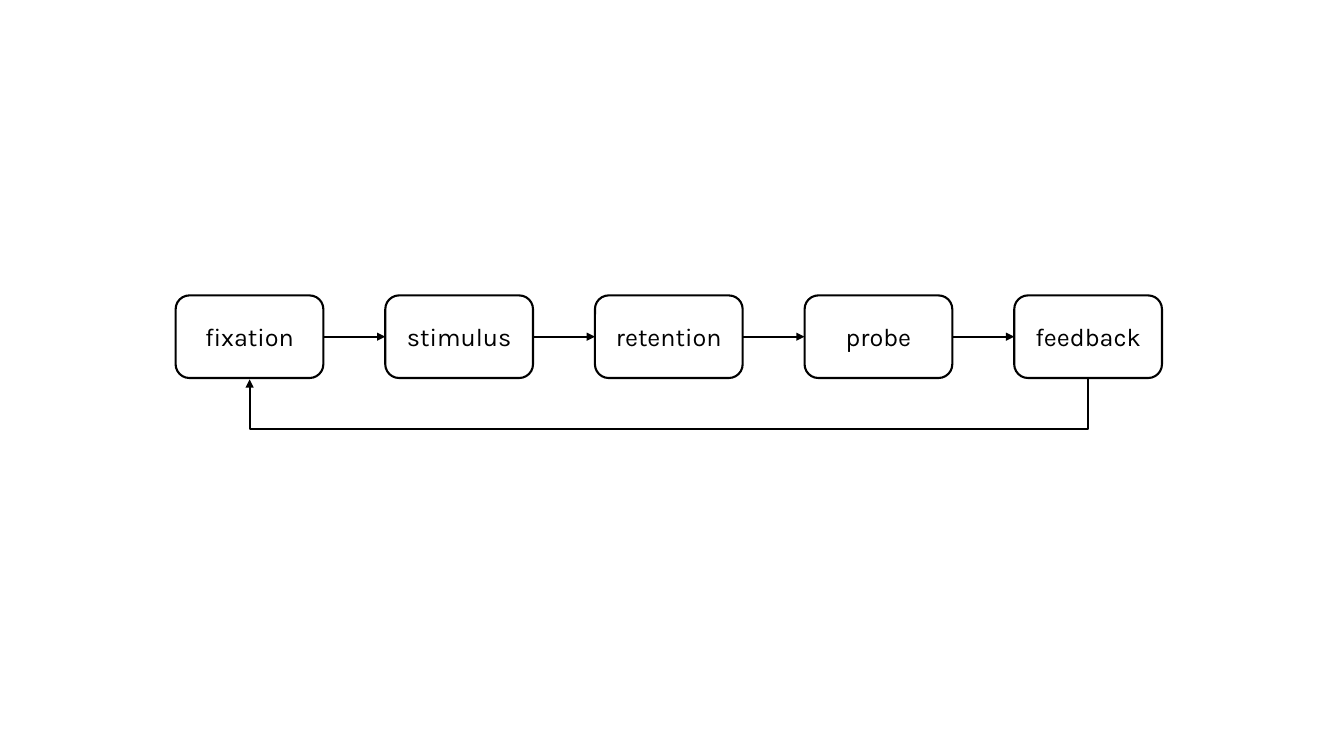
"""Build a slide showing the five phases of a trial and the loop back to its start."""
from collections import namedtuple

from lxml import etree
from pptx import Presentation
from pptx import util as u
from pptx.dml.color import RGBColor
from pptx.enum import shapes, text
from pptx.oxml.ns import qn

Theme = namedtuple("Theme", "ink paper font size line")
theme = Theme(RGBColor(0, 0, 0), RGBColor(255, 255, 255), "Karla", u.Pt(18), u.Pt(1.5))

PHASES = ["fixation", "stimulus", "retention", "probe", "feedback"]
LEFT, TOP, WIDTH, HEIGHT, PITCH = 125.5, 211, 105.5, 59, 149.75
LOOP_DEPTH = 36.5


def style_arrow(c):
    c.line.color.rgb = theme.ink
    c.line.width = theme.line
    etree.SubElement(c.line._get_or_add_ln(), qn("a:tailEnd"), type="triangle")
    etree.SubElement(c._element.spPr, qn("a:effectLst"))


prs = Presentation()
prs.slide_width, prs.slide_height = u.Pt(960), u.Pt(540)
s = prs.slides.add_slide(prs.slide_layouts[6])

boxes = []
for i, phase in enumerate(PHASES):
    sp = s.shapes.add_shape(shapes.MSO_SHAPE.ROUNDED_RECTANGLE, u.Pt(LEFT + i * PITCH),
                            u.Pt(TOP), u.Pt(WIDTH), u.Pt(HEIGHT))
    sp.shadow.inherit = False
    sp.fill.solid()
    sp.fill.fore_color.rgb = theme.paper
    sp.line.color.rgb = theme.ink
    sp.line.width = theme.line
    tf = sp.text_frame
    tf.text = phase
    tf.vertical_anchor = text.MSO_ANCHOR.MIDDLE
    p = tf.paragraphs[0]
    p.alignment = text.PP_ALIGN.CENTER
    r = p.runs[0]
    r.font.name, r.font.size = theme.font, theme.size
    r.font.color.rgb = theme.ink
    boxes.append(sp)

for start, end in zip(boxes, boxes[1:]):
    c = s.shapes.add_connector(shapes.MSO_CONNECTOR.STRAIGHT, 0, 0, 0, 0)
    c.begin_connect(start, 3)
    c.end_connect(end, 1)
    style_arrow(c)

loop = s.shapes.add_connector(shapes.MSO_CONNECTOR.ELBOW, 0, 0, 0, 0)
loop.begin_connect(boxes[-1], 2)
loop.end_connect(boxes[0], 2)
span = PITCH * (len(PHASES) - 1)
loop.width, loop.height = u.Pt(1), u.Pt(span)
loop.left = u.Pt(LEFT + WIDTH / 2 + span / 2 - 0.5)
loop.top = u.Pt(TOP + HEIGHT + 0.5 - span / 2)
xfrm = loop._element.spPr.find(qn("a:xfrm"))
for flip in ("flipH", "flipV"):
    xfrm.attrib.pop(flip, None)
xfrm.set("rot", "5400000")
guides = loop._element.spPr.find(qn("a:prstGeom")).find(qn("a:avLst"))
etree.SubElement(guides, qn("a:gd"), name="adj1", fmla=f"val {int(LOOP_DEPTH * 100000)}")
style_arrow(loop)

prs.save("out.pptx")
